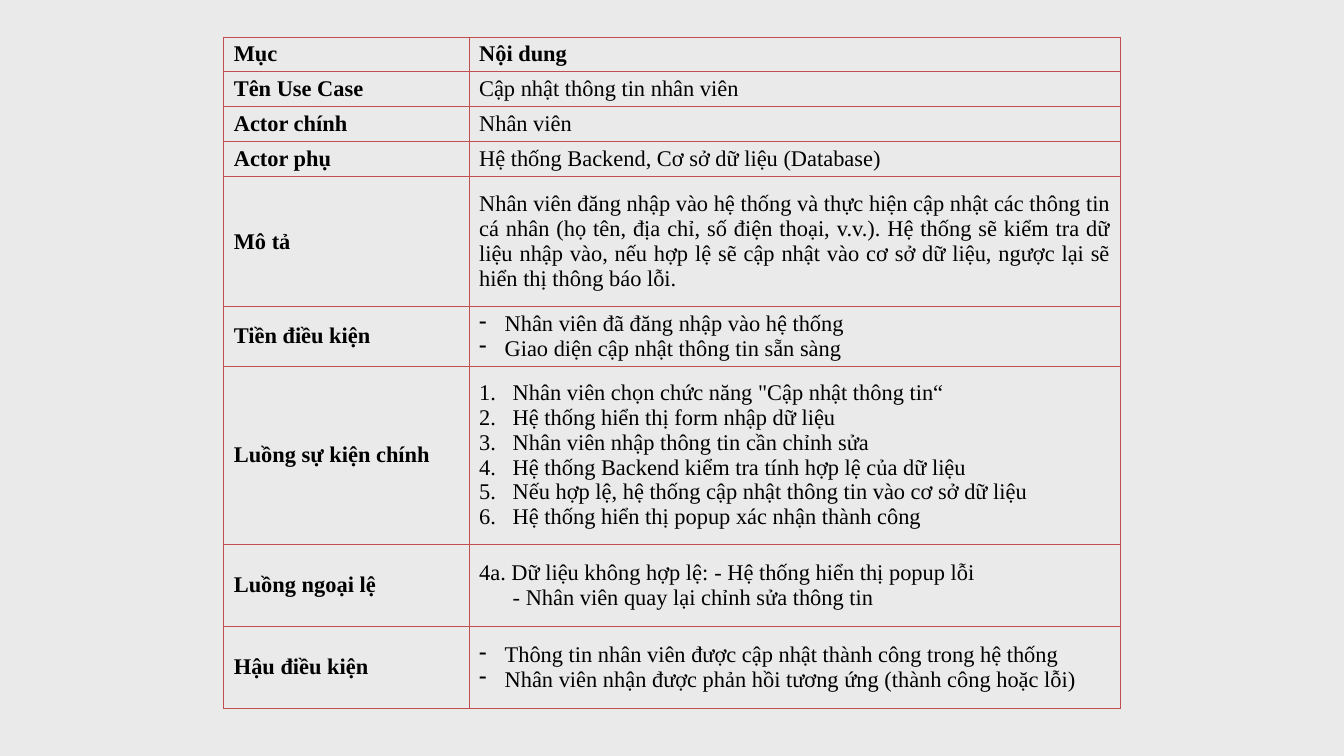
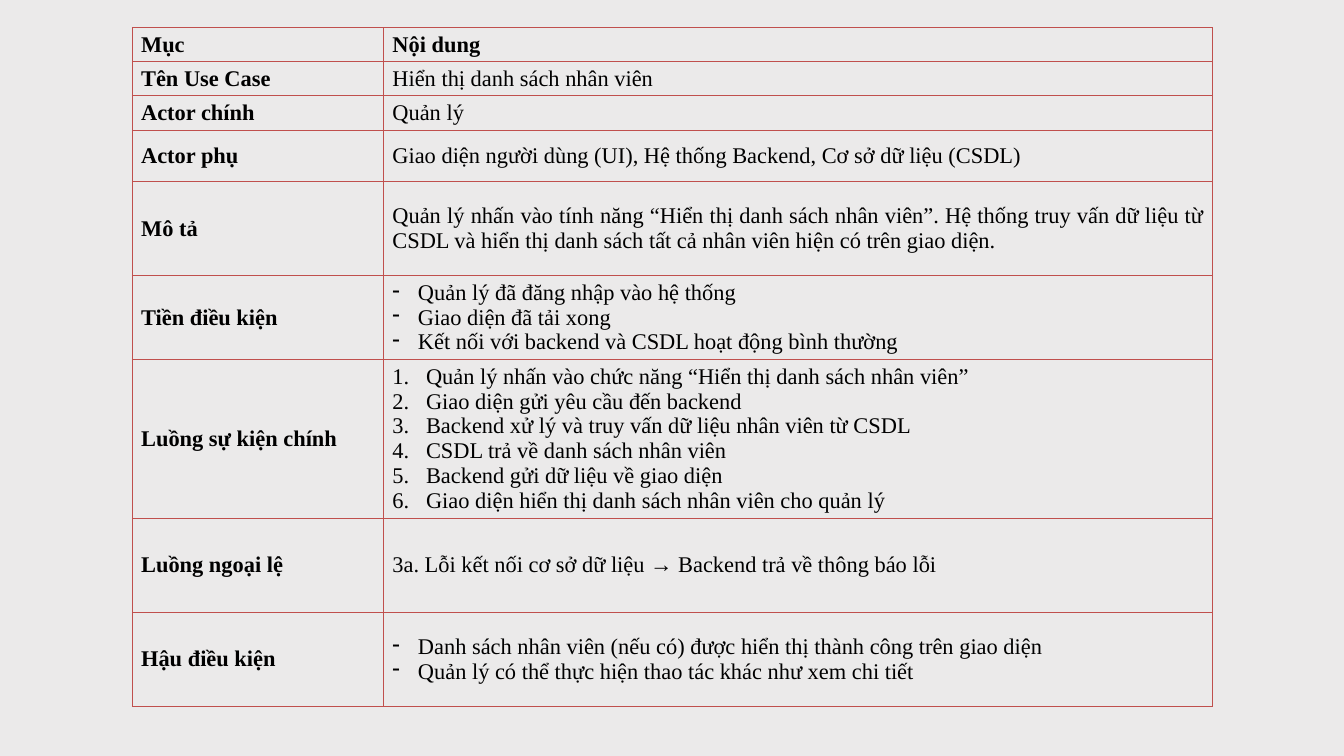
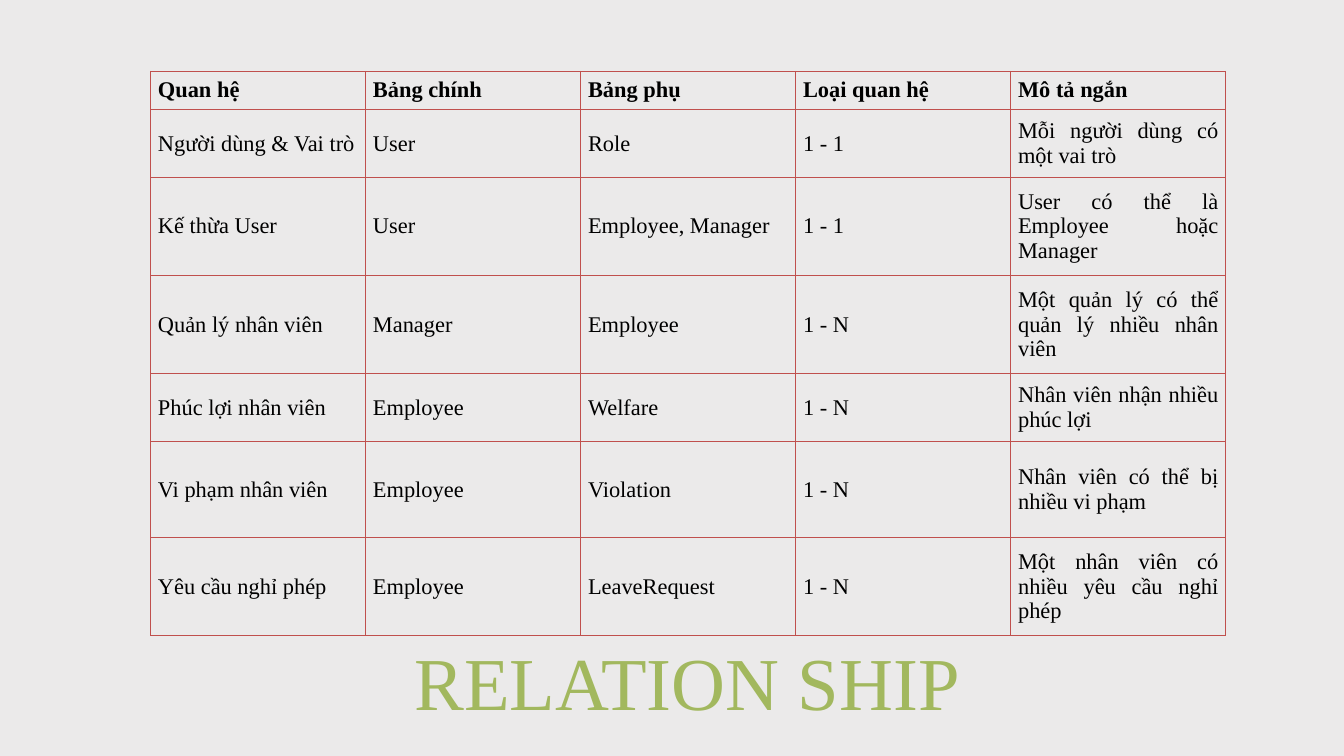
from lxml import etree
from pptx import Presentation
from pptx.dml.color import RGBColor
from pptx.enum.text import MSO_ANCHOR, MSO_AUTO_SIZE, PP_ALIGN
from pptx.oxml.ns import qn
from pptx.util import Inches, Pt

MIDDLE, BOTTOM = MSO_ANCHOR.MIDDLE, MSO_ANCHOR.BOTTOM
JUSTIFY, CENTER = PP_ALIGN.JUSTIFY, PP_ALIGN.CENTER
NO_AUTOFIT = MSO_AUTO_SIZE.NONE

PAPER = RGBColor(0xEB, 0xEA, 0xEA)
INK = RGBColor(0, 0, 0)
RULE = RGBColor(0xC0, 0x50, 0x4D)
OLIVE = RGBColor(0xA2, 0xB8, 0x5E)

FONT = "Times New Roman"
TEXT_SIZE = Pt(24)
TITLE_ONLY, BLANK = 5, 6

# List kind: indent in inches, then the paragraph element and its attributes
LISTS = {
    "dash": (0.38, "a:buChar", {"char": "-"}),
    "number": (0.5, "a:buAutoNum", {"type": "arabicPeriod"}),
    "tabbed": (0, "a:tabLst", {}),
}
TAB_STOP = 3.58


def write_cell(cell, content, bold, side_inset, top_inset):
    """Content is a string, or a list kind with its lines."""
    kind, lines = (None, [content]) if isinstance(content, str) else content
    cell.vertical_anchor = MIDDLE
    cell.margin_left = cell.margin_right = Inches(side_inset)
    cell.margin_top = cell.margin_bottom = Inches(top_inset)

    properties = cell._tc.get_or_add_tcPr()
    for edge in ("a:lnL", "a:lnR", "a:lnT", "a:lnB"):
        line = etree.SubElement(properties, qn(edge), w=str(Pt(1)))
        fill = etree.SubElement(line, qn("a:solidFill"))
        etree.SubElement(fill, qn("a:srgbClr"), val=str(RULE))
    cell.fill.background()

    frame = cell.text_frame
    for number, text in enumerate(lines):
        paragraph = frame.paragraphs[0] if number == 0 else frame.add_paragraph()
        paragraph.alignment = JUSTIFY
        if kind:
            indent, tag, attributes = LISTS[kind]
            layout = paragraph._p.get_or_add_pPr()
            layout.set("marL", str(Inches(indent)))
            layout.set("indent", str(-Inches(indent)))
            element = etree.SubElement(layout, qn(tag), attributes)
            if kind == "tabbed":
                etree.SubElement(element, qn("a:tab"), pos=str(Inches(TAB_STOP)), algn="l")
        run = paragraph.add_run()
        run.text = text
        for name, value in {"name": FONT, "size": TEXT_SIZE, "bold": bold}.items():
            setattr(run.font, name, value)
        run.font.color.rgb = INK


def add_ruled_table(slide, left, top, widths, heights, rows, insets, bold_labels):
    """Header row is bold; the first column too when bold_labels is set."""
    table = slide.shapes.add_table(
        len(heights), len(widths), Inches(left), Inches(top),
        Inches(sum(widths)), Inches(sum(heights))).table
    table.first_row = table.horz_banding = False
    for column, width in zip(table.columns, widths):
        column.width = Inches(width)
    for r, (height, row) in enumerate(zip(heights, rows)):
        table.rows[r].height = Inches(height)
        for c, content in enumerate(row):
            bold = r == 0 or (bold_labels and c == 0)
            write_cell(table.cell(r, c), content, bold, *insets)


prs = Presentation()
prs.slide_width, prs.slide_height = Inches(20), Inches(11.25)
background = prs.slide_master.background.fill
background.solid()
background.fore_color.rgb = PAPER

# Use case slides
USE_CASE_LABELS = [
    "Mục", "Tên Use Case", "Actor chính", "Actor phụ", "Mô tả", "Tiền điều kiện",
    "Luồng sự kiện chính", "Luồng ngoại lệ", "Hậu điều kiện",
]
update_employee = [
    "Nội dung",
    "Cập nhật thông tin nhân viên",
    "Nhân viên",
    "Hệ thống Backend, Cơ sở dữ liệu (Database)",
    "Nhân viên đăng nhập vào hệ thống và thực hiện cập nhật các thông tin cá nhân "
    "(họ tên, địa chỉ, số điện thoại, v.v.). Hệ thống sẽ kiểm tra dữ liệu nhập vào, "
    "nếu hợp lệ sẽ cập nhật vào cơ sở dữ liệu, ngược lại sẽ hiển thị thông báo lỗi.",
    ("dash", ["Nhân viên đã đăng nhập vào hệ thống",
              "Giao diện cập nhật thông tin sẵn sàng"]),
    ("number", ['Nhân viên chọn chức năng "Cập nhật thông tin“',
                "Hệ thống hiển thị form nhập dữ liệu",
                "Nhân viên nhập thông tin cần chỉnh sửa",
                "Hệ thống Backend kiểm tra tính hợp lệ của dữ liệu",
                "Nếu hợp lệ, hệ thống cập nhật thông tin vào cơ sở dữ liệu",
                "Hệ thống hiển thị popup xác nhận thành công"]),
    ("tabbed", ["4a. Dữ liệu không hợp lệ:\t- Hệ thống hiển thị popup lỗi",
                "\t- Nhân viên quay lại chỉnh sửa thông tin"]),
    ("dash", ["Thông tin nhân viên được cập nhật thành công trong hệ thống",
              "Nhân viên nhận được phản hồi tương ứng (thành công hoặc lỗi)"]),
]
list_employees = [
    "Nội dung",
    "Hiển thị danh sách nhân viên",
    "Quản lý",
    "Giao diện người dùng (UI), Hệ thống Backend, Cơ sở dữ liệu (CSDL)",
    "Quản lý nhấn vào tính năng “Hiển thị danh sách nhân viên”. Hệ thống truy vấn "
    "dữ liệu từ CSDL và hiển thị danh sách tất cả nhân viên hiện có trên giao diện.",
    ("dash", ["Quản lý đã đăng nhập vào hệ thống",
              "Giao diện đã tải xong",
              "Kết nối với backend và CSDL hoạt động bình thường"]),
    ("number", ["Quản lý nhấn vào chức năng “Hiển thị danh sách nhân viên”",
                "Giao diện gửi yêu cầu đến backend",
                "Backend xử lý và truy vấn dữ liệu nhân viên từ CSDL",
                "CSDL trả về danh sách nhân viên",
                "Backend gửi dữ liệu về giao diện",
                "Giao diện hiển thị danh sách nhân viên cho quản lý"]),
    "3a. Lỗi kết nối cơ sở dữ liệu → Backend trả về thông báo lỗi",
    ("dash", ["Danh sách nhân viên (nếu có) được hiển thị thành công trên giao diện",
              "Quản lý có thể thực hiện thao tác khác như xem chi tiết"]),
]
use_cases = [
    (update_employee, 3.33, 0.55, [3.65, 9.69],
     [0.52] * 4 + [1.93, 0.89, 2.65, 1.22, 1.22], (0.15, 0.07)),
    (list_employees, 1.97, 0.41, [3.74, 12.33],
     [0.45] * 3 + [0.77, 1.4, 1.09, 2.36, 1.4, 1.4], (0.13, 0.07)),
]
for details, left, top, widths, heights, insets in use_cases:
    slide = prs.slides.add_slide(prs.slide_layouts[BLANK])
    rows = list(zip(USE_CASE_LABELS, details))
    add_ruled_table(slide, left, top, widths, heights, rows, insets, bold_labels=True)

# Relationship slide
slide = prs.slides.add_slide(prs.slide_layouts[TITLE_ONLY])
title = slide.shapes.title
title.left, title.top = Inches(5.54), Inches(9.47)
title.width, title.height = Inches(9.38), Inches(1.42)
title_format = {
    "auto_size": NO_AUTOFIT, "word_wrap": True, "vertical_anchor": BOTTOM,
    "margin_left": Inches(0.15), "margin_right": Inches(0.15),
    "margin_top": Inches(0.07), "margin_bottom": Inches(0.07),
}
for name, value in title_format.items():
    setattr(title.text_frame, name, value)
heading = title.text_frame.paragraphs[0]
heading.alignment, heading.line_spacing, heading.space_after = CENTER, 0.9, Pt(9)
heading_run = heading.add_run()
heading_run.text = "RELATION SHIP"
heading_run.font.name, heading_run.font.size = FONT, Pt(80)
heading_run.font.color.rgb = OLIVE

relations = [
    ("Quan hệ", "Bảng chính", "Bảng phụ", "Loại quan hệ", "Mô tả ngắn"),
    ("Người dùng & Vai trò", "User", "Role", "1 - 1", "Mỗi người dùng có một vai trò"),
    ("Kế thừa User", "User", "Employee, Manager", "1 - 1",
     "User có thể là Employee hoặc Manager"),
    ("Quản lý nhân viên", "Manager", "Employee", "1 - N",
     "Một quản lý có thể quản lý nhiều nhân viên"),
    ("Phúc lợi nhân viên", "Employee", "Welfare", "1 - N", "Nhân viên nhận nhiều phúc lợi"),
    ("Vi phạm nhân viên", "Employee", "Violation", "1 - N",
     "Nhân viên có thể bị nhiều vi phạm"),
    ("Yêu cầu nghỉ phép", "Employee", "LeaveRequest", "1 - N",
     "Một nhân viên có nhiều yêu cầu nghỉ phép"),
]
add_ruled_table(slide, 2.24, 1.06, [3.2] * 5, [0.57, 1.01, 1.46, 1.46, 1.01, 1.43, 1.46],
                relations, (0.11, 0.06), bold_labels=False)

prs.save("out.pptx")
